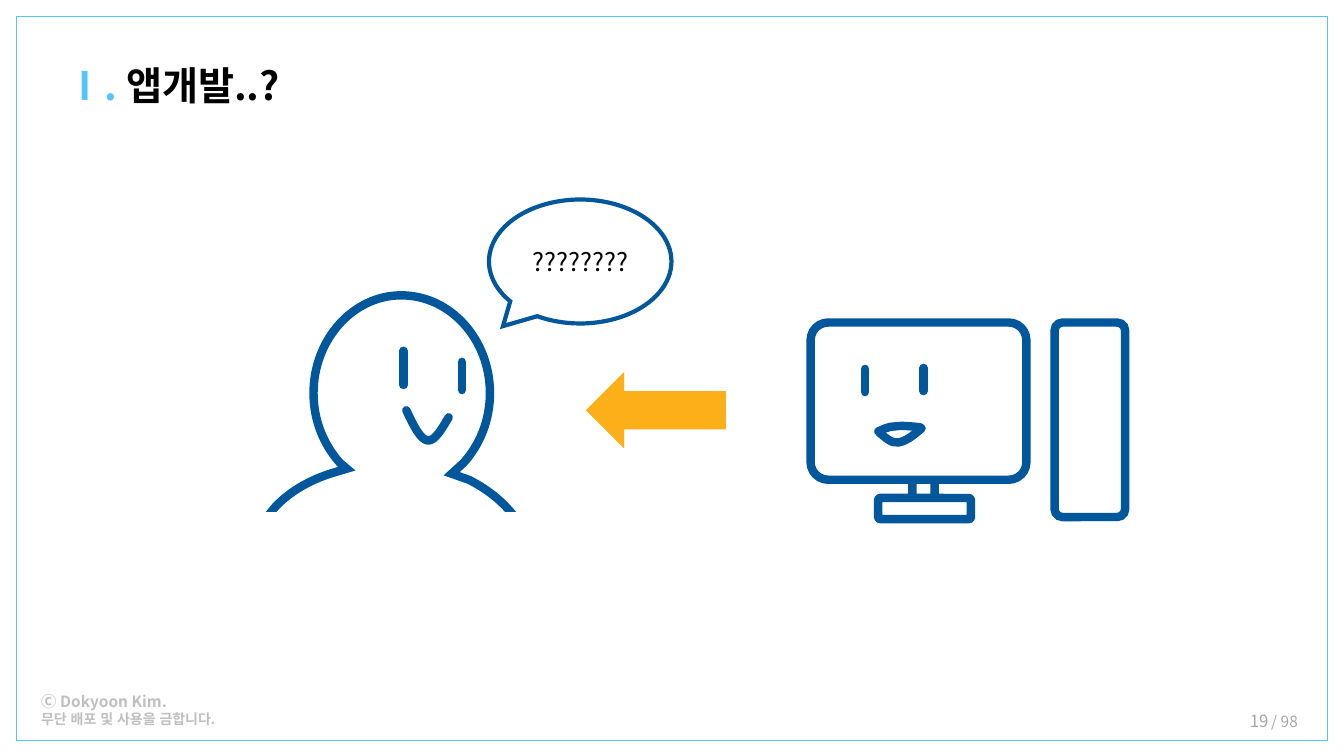
from dataclasses import dataclass
from typing import Optional

from lxml.etree import SubElement
from pptx import Presentation
from pptx.dml.color import RGBColor
from pptx.enum.lang import MSO_LANGUAGE_ID as Lang
from pptx.enum.shapes import MSO_CONNECTOR as Connector, MSO_SHAPE as Shape
from pptx.enum.text import MSO_ANCHOR as Anchor, PP_ALIGN as Align
from pptx.oxml.ns import qn
from pptx.util import Inches, Pt

Point = tuple[float, float]


@dataclass(frozen=True)
class Theme:
    font: str = "Noto Sans CJK KR"
    navy: str = "00579B"
    sky: str = "54C5F9"
    amber: str = "FCAF18"
    white: str = "FFFFFF"
    black: str = "000000"
    credit: str = "BFBFBF"
    page: str = "A6A6A6"
    title_size: int = 28
    speech_size: int = 18
    page_size: int = 12
    small_size: int = 11
    tiny_size: int = 10
    thick: float = 6
    medium: float = 3
    thin: float = 0.5


T = Theme()


@dataclass(frozen=True)
class Box:
    kind: Shape
    left: float
    top: float
    width: float
    height: float
    fill: Optional[str] = None
    line: Optional[str] = T.navy
    weight: float = T.thick
    adjust: tuple[float, ...] = ()


@dataclass(frozen=True)
class Eye:
    x: float
    top: float
    bottom: float


@dataclass(frozen=True)
class Outline:
    """Each step is one end point, or two control points and an end point."""
    start: Point
    steps: tuple[tuple[Point, ...], ...]
    closed: bool = False


CORNER = (0.112,)
FRAME = Box(Shape.RECTANGLE, 0.16, 0.16, 13.01, 7.19, line=T.sky, weight=T.thin)
NECK = Box(Shape.ROUNDED_RECTANGLE, 9.05, 3.51, 0.22, 1.56, adjust=CORNER)
MONITOR = Box(Shape.ROUNDED_RECTANGLE, 8.04, 3.2, 2.14, 1.56, T.white, adjust=CORNER)
TOWER = Box(Shape.ROUNDED_RECTANGLE, 10.46, 3.2, 0.7, 1.93, adjust=CORNER)
STAND = Box(Shape.ROUNDED_RECTANGLE, 8.71, 4.94, 0.92, 0.21, T.white, adjust=CORNER)
SHOULDER_MASK = Box(Shape.RECTANGLE, 2.32, 5.08, 3.44, 0.92, T.white, line=None)
SPEECH = Box(Shape.OVAL_CALLOUT, 4.85, 1.98, 1.81, 1.23, weight=T.medium,
             adjust=(-0.423, 0.521))
ARROW = Box(Shape.LEFT_ARROW, 5.81, 3.69, 1.39, 0.76, T.amber, line=None)

PERSON = Outline((3.98, 2.93), (
    ((4.47, 2.93), (4.86, 3.37), (4.86, 3.9)),
    ((4.86, 4.17), (4.76, 4.41), (4.6, 4.59)),
    ((4.48, 4.7),), ((4.65, 4.76),),
    ((4.83, 4.85), (4.98, 4.97), (5.09, 5.11)),
    ((5.11, 5.14),), ((2.64, 5.14),), ((2.73, 5.03),),
    ((2.88, 4.87), (3.09, 4.75), (3.34, 4.68)),
    ((3.44, 4.65),), ((3.37, 4.59),),
    ((3.21, 4.41), (3.11, 4.17), (3.11, 3.9)),
    ((3.11, 3.37), (3.5, 2.93), (3.98, 2.93)),
), closed=True)
PERSON_SMILE = Outline((4.03, 4.07), (
    ((4.1, 4.22), (4.17, 4.36), (4.24, 4.37)),
    ((4.31, 4.38), (4.38, 4.26), (4.45, 4.14)),
))
COMPUTER_LOWER_LIP = Outline((9.14, 4.25), (
    ((9.06, 4.32), (8.98, 4.38), (8.91, 4.39)),
    ((8.84, 4.4), (8.78, 4.34), (8.72, 4.29)),
))
COMPUTER_UPPER_LIP = Outline((9.13, 4.24), (
    ((9.04, 4.23), (8.95, 4.22), (8.88, 4.23)),
    ((8.81, 4.23), (8.76, 4.26), (8.71, 4.28)),
))
PERSON_EYES = (Eye(4.58, 3.59, 3.87), Eye(4, 3.48, 3.82))
COMPUTER_EYES = (Eye(8.58, 3.66, 3.89), Eye(9.16, 3.65, 3.88))


def rgb(color: str) -> RGBColor:
    return RGBColor.from_string(color)


def set_line(sp, color: Optional[str], weight: float, rounded: bool = False) -> None:
    if color is None:
        sp.line.fill.background()
        return
    sp.line.color.rgb = rgb(color)
    sp.line.width = Pt(weight)
    ln = sp.line._get_or_add_ln()
    if rounded:
        ln.set("cap", "rnd")
        SubElement(ln, qn("a:round"))
    else:
        SubElement(ln, qn("a:miter")).set("lim", "800000")


def add_box(slide, box: Box):
    sp = slide.shapes.add_shape(box.kind, Inches(box.left), Inches(box.top),
                                Inches(box.width), Inches(box.height))
    sp.shadow.inherit = False
    for i, value in enumerate(box.adjust):
        sp.adjustments[i] = value
    if box.fill:
        sp.fill.solid()
        sp.fill.fore_color.rgb = rgb(box.fill)
    else:
        sp.fill.background()
    set_line(sp, box.line, box.weight)
    return sp


def bend_curves(sp, outline: Outline) -> None:
    """Join the three segments of each curved step into one Bézier curve."""
    segments = iter(list(sp._element.iter(qn("a:lnTo"))))
    for step in outline.steps:
        first, *others = [next(segments) for _ in step]
        if others:
            first.tag = qn("a:cubicBezTo")
        for segment in others:
            first.append(segment[0])
            segment.getparent().remove(segment)


def add_outline(slide, outline: Outline) -> None:
    points = [outline.start, *(point for step in outline.steps for point in step)]
    start, *rest = [(Inches(x), Inches(y)) for x, y in points]
    builder = slide.shapes.build_freeform(*start)
    builder.add_line_segments(rest, close=outline.closed)
    sp = builder.convert_to_shape()
    bend_curves(sp, outline)
    sp.shadow.inherit = False
    sp.fill.background()
    set_line(sp, T.navy, T.thick, rounded=not outline.closed)


def add_eye(slide, eye: Eye) -> None:
    line = slide.shapes.add_connector(Connector.STRAIGHT, Inches(eye.x), Inches(eye.top),
                                      Inches(eye.x), Inches(eye.bottom))
    set_line(line, T.navy, T.thick, rounded=True)
    SubElement(line._element.spPr, qn("a:effectLst"))


def add_run(p, text: str, *, size: float, color: str, bold: bool = False,
            align: Align = Align.LEFT) -> None:
    p.alignment = align
    r = p.add_run()
    r.text = text
    r.font.size = Pt(size)
    r.font.bold = bold
    r.font.color.rgb = rgb(color)
    r.font.name = T.font
    r.font.language_id = Lang.KOREAN
    SubElement(r.font._element, qn("a:ea")).set("typeface", T.font)


def add_text_frame(slide, left: float, top: float, width: float, height: float,
                   anchor: Anchor = Anchor.TOP):
    sp = slide.shapes.add_textbox(Inches(left), Inches(top), Inches(width), Inches(height))
    tf = sp.text_frame
    tf.word_wrap = True
    tf.vertical_anchor = anchor
    return tf


def main() -> None:
    prs = Presentation()
    prs.slide_width, prs.slide_height = Inches(13.33), Inches(7.5)
    slide = prs.slides.add_slide(prs.slide_layouts[6])

    add_box(slide, FRAME)
    tf = add_text_frame(slide, 0.31, 6.82, 3.12, 0.45)
    add_run(tf.paragraphs[0], "Ⓒ Dokyoon Kim.", size=T.small_size, color=T.credit, bold=True)
    add_run(tf.add_paragraph(), "무단 배포 및 사용을 금합니다.", size=T.tiny_size,
            color=T.credit, bold=True)
    tf = add_text_frame(slide, 12.51, 7.02, 0.74, 0.29)
    add_run(tf.paragraphs[0], "/ 98", size=T.small_size, color=T.page)
    tf = add_text_frame(slide, 9.68, 6.95, 3, 0.4, Anchor.MIDDLE)
    add_run(tf.paragraphs[0], "19", size=T.page_size, color=T.page, align=Align.RIGHT)

    for part in (NECK, MONITOR):
        add_box(slide, part)
    add_outline(slide, PERSON)
    for part in (SHOULDER_MASK, TOWER, STAND):
        add_box(slide, part)
    for eye in PERSON_EYES + COMPUTER_EYES:
        add_eye(slide, eye)
    for mouth in (PERSON_SMILE, COMPUTER_LOWER_LIP, COMPUTER_UPPER_LIP):
        add_outline(slide, mouth)

    tf = add_box(slide, SPEECH).text_frame
    tf.vertical_anchor = Anchor.MIDDLE
    add_run(tf.paragraphs[0], "????????", size=T.speech_size, color=T.black, align=Align.CENTER)
    add_box(slide, ARROW)
    p = add_text_frame(slide, 0.55, 0.56, 7.7, 0.57).paragraphs[0]
    for text, color in (("Ⅰ. ", T.sky), ("앱개발..?", T.black)):
        add_run(p, text, size=T.title_size, color=color, bold=True)
    prs.save("out.pptx")


if __name__ == "__main__":
    main()
